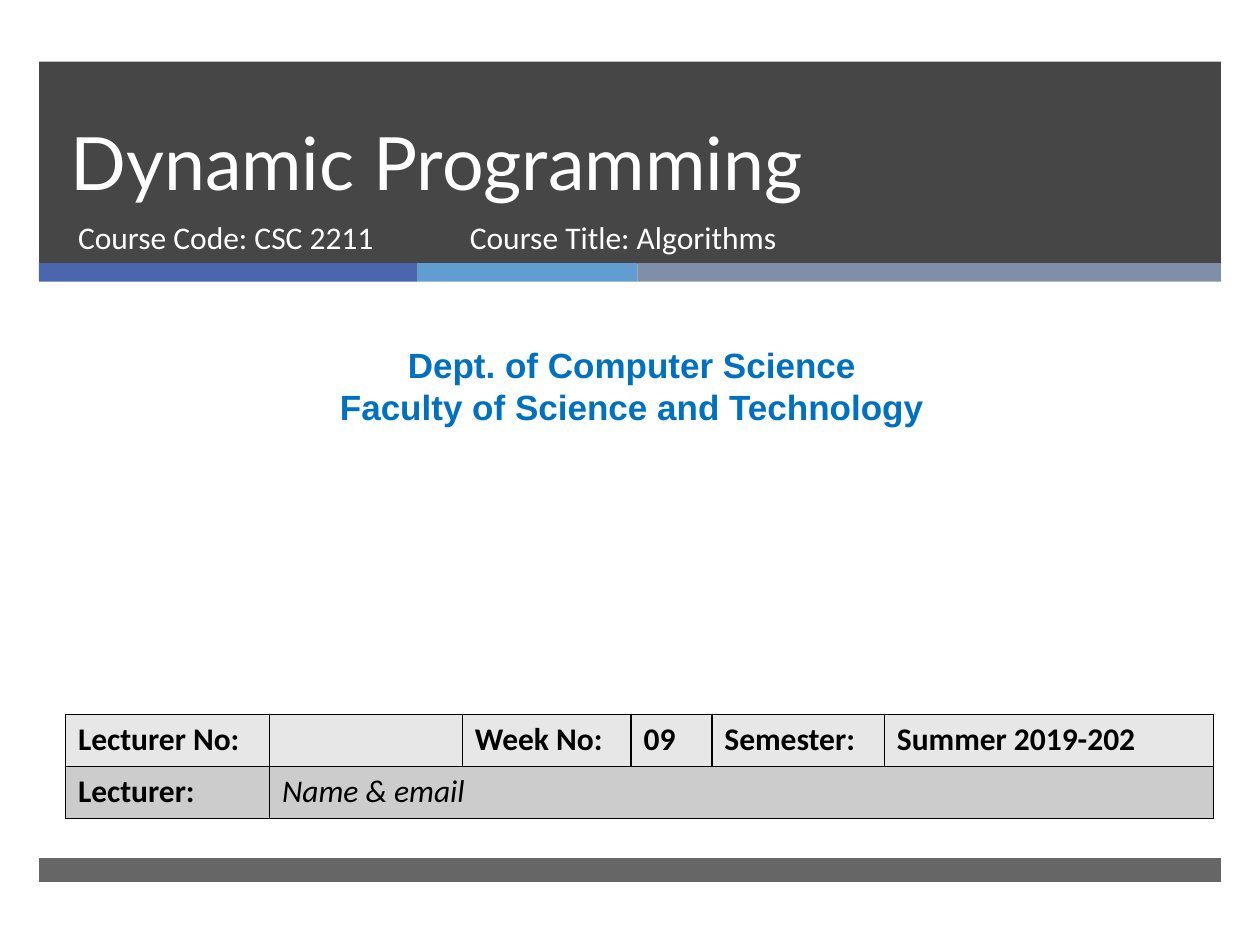
from lxml.etree import SubElement
from pptx import Presentation
from pptx.dml.color import RGBColor
from pptx.enum.shapes import MSO_SHAPE as Preset
from pptx.enum.text import MSO_ANCHOR as Anchor, PP_ALIGN as Align
from pptx.oxml import parse_xml
from pptx.oxml.ns import nsdecls, qn
from pptx.util import Pt

TITLE = "Dynamic Programming"
COURSE_CODE = "Course Code: CSC 2211"
COURSE_TITLE = "Course Title: Algorithms"
DEPARTMENT = ["Dept. of Computer Science", "Faculty of Science and Technology"]
LECTURE_ROWS = [
    ["Lecturer No:", "", "Week No:", "09", "Semester:", "Summer 2019-202"],
    ["Lecturer:", "Name & email"],
]
ROW_FILLS = ["E7E7E7", "CCCCCC"]
COLUMN_WIDTHS = [116.6, 110.2, 96.5, 46.1, 98.6, 188]
ROW_HEIGHT = 29.8
BAND_LEFT, BAND_WIDTH = 22.3, 675.4
STRIPES = [("4A66AC", 216), ("629DD1", 126), ("7F8FA9", 333.4)]


def color(value):
    return RGBColor.from_string(value)


def add_bar(left, top, width, height, fill, opacity=100):
    bar = slide.shapes.add_shape(
        Preset.RECTANGLE, Pt(left), Pt(top), Pt(width), Pt(height))
    bar.shadow.inherit = False
    bar.fill.solid()
    bar.fill.fore_color.rgb = color(fill)
    bar.line.fill.background()
    if opacity < 100:
        tone = bar.element.spPr.find(qn("a:solidFill"))[0]
        SubElement(tone, qn("a:alpha"), val=str(opacity * 1000))


def place(shape, left, top, width, height):
    shape.left, shape.top, shape.width, shape.height = map(Pt, (left, top, width, height))


def write(frame, lines, font, size, fill, bold=False, italic=False,
          align=Align.LEFT, anchor=Anchor.TOP):
    frame.word_wrap = True
    frame.vertical_anchor = anchor
    for index, line in enumerate(lines):
        paragraph = frame.add_paragraph() if index else frame.paragraphs[0]
        paragraph.alignment = align
        paragraph.space_before = Pt(0)
        run = paragraph.add_run()
        run.text = line
        run.font.name = font
        run.font.size = Pt(size)
        run.font.bold = bold
        run.font.italic = italic
        run.font.color.rgb = color(fill)


def add_borders(cell):
    properties = cell._tc.get_or_add_tcPr()
    for index, side in enumerate("LRTB"):
        properties.insert(index, parse_xml(
            f'<a:ln{side} {nsdecls("a")} w="12700"><a:solidFill>'
            f'<a:srgbClr val="000000"/></a:solidFill></a:ln{side}>'))


presentation = Presentation()
presentation.slide_width, presentation.slide_height = Pt(720), Pt(540)
slide = presentation.slides.add_slide(presentation.slide_layouts[0])

add_bar(BAND_LEFT, 35.2, BAND_WIDTH, 115.6, "262626", 85)
stripe_left = BAND_LEFT
for fill, width in STRIPES:
    add_bar(stripe_left, 150.4, width, 10.6, fill)
    stripe_left += width
add_bar(BAND_LEFT, 490.3, BAND_WIDTH, 13.7, "262626", 70)

title, subtitle = slide.shapes.title, slide.placeholders[1]
for placeholder in (title, subtitle):
    placeholder.element.getparent().append(placeholder.element)
place(title, 33.1, 35.2, 614.9, 85.7)
write(title.text_frame, [TITLE], "Lato", 42, "FFFFFF", anchor=Anchor.BOTTOM)
title.text_frame.paragraphs[0].line_spacing = Pt(46)
place(subtitle, 37.4, 121, 219.6, 38.2)
write(subtitle.text_frame, [COURSE_CODE], "Calibri", 18, "FFFFFF")

department = slide.shapes.add_textbox(Pt(5.8), Pt(193), Pt(710.6), Pt(55.4))
write(department.text_frame, DEPARTMENT, "Arial", 20, "0070C0",
      bold=True, align=Align.CENTER)

table = slide.shapes.add_table(
    len(LECTURE_ROWS), len(COLUMN_WIDTHS), Pt(37.4), Pt(408.2),
    Pt(sum(COLUMN_WIDTHS)), Pt(ROW_HEIGHT * len(LECTURE_ROWS))).table
for column, width in zip(table.columns, COLUMN_WIDTHS):
    column.width = Pt(width)
table.cell(1, 1).merge(table.cell(1, len(COLUMN_WIDTHS) - 1))
for row_index, (texts, fill) in enumerate(zip(LECTURE_ROWS, ROW_FILLS)):
    table.rows[row_index].height = Pt(ROW_HEIGHT)
    for column_index in range(len(COLUMN_WIDTHS)):
        cell = table.cell(row_index, column_index)
        cell.fill.solid()
        cell.fill.fore_color.rgb = color(fill)
        add_borders(cell)
        if column_index < len(texts) and texts[column_index]:
            italic = cell.is_merge_origin
            write(cell.text_frame, [texts[column_index]], "Calibri", 18, "000000",
                  bold=not italic, italic=italic)

course_title = slide.shapes.add_textbox(Pt(261.4), Pt(121), Pt(327.6), Pt(38.2))
write(course_title.text_frame, [COURSE_TITLE], "Calibri", 18, "FFFFFF")

presentation.save("out.pptx")
